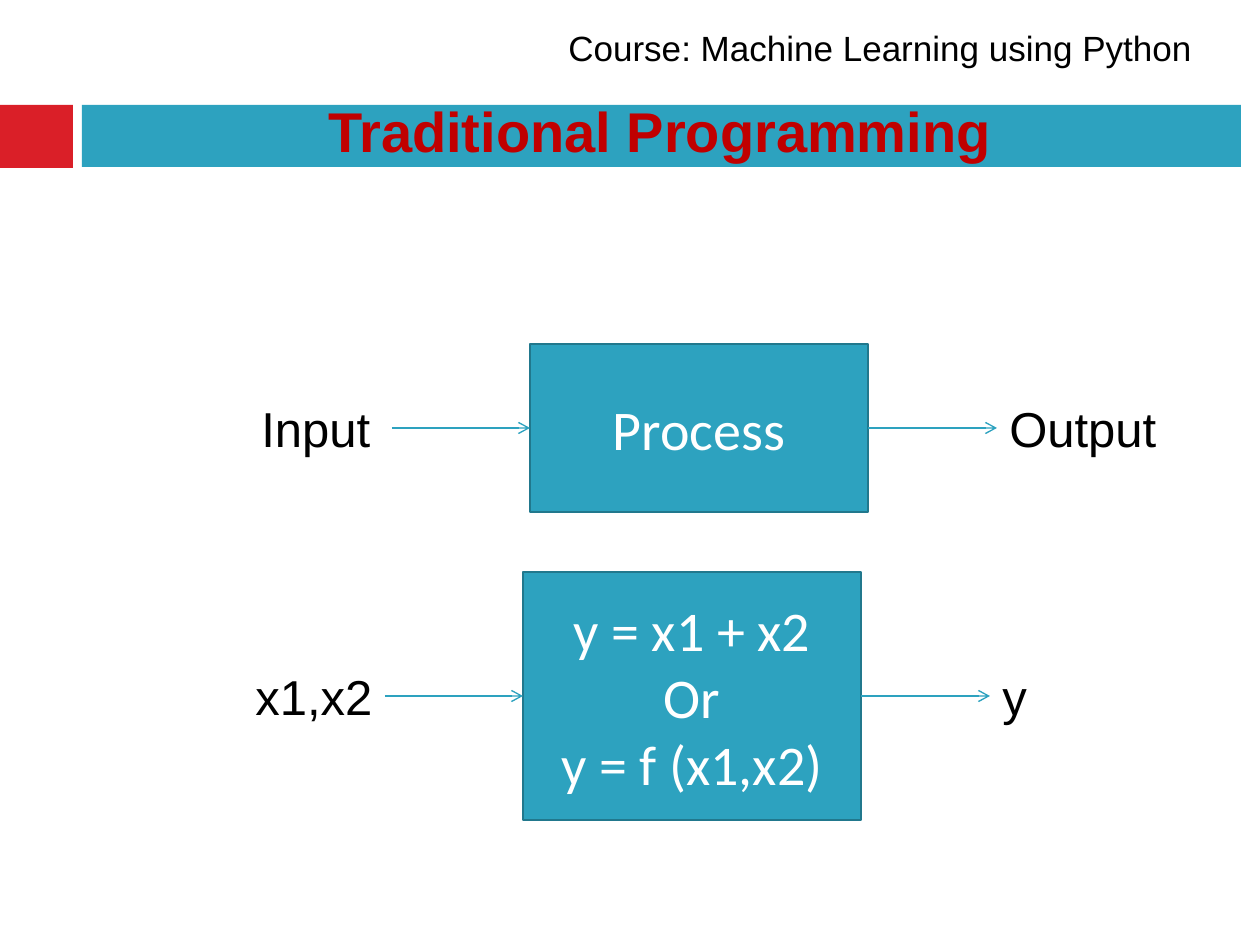
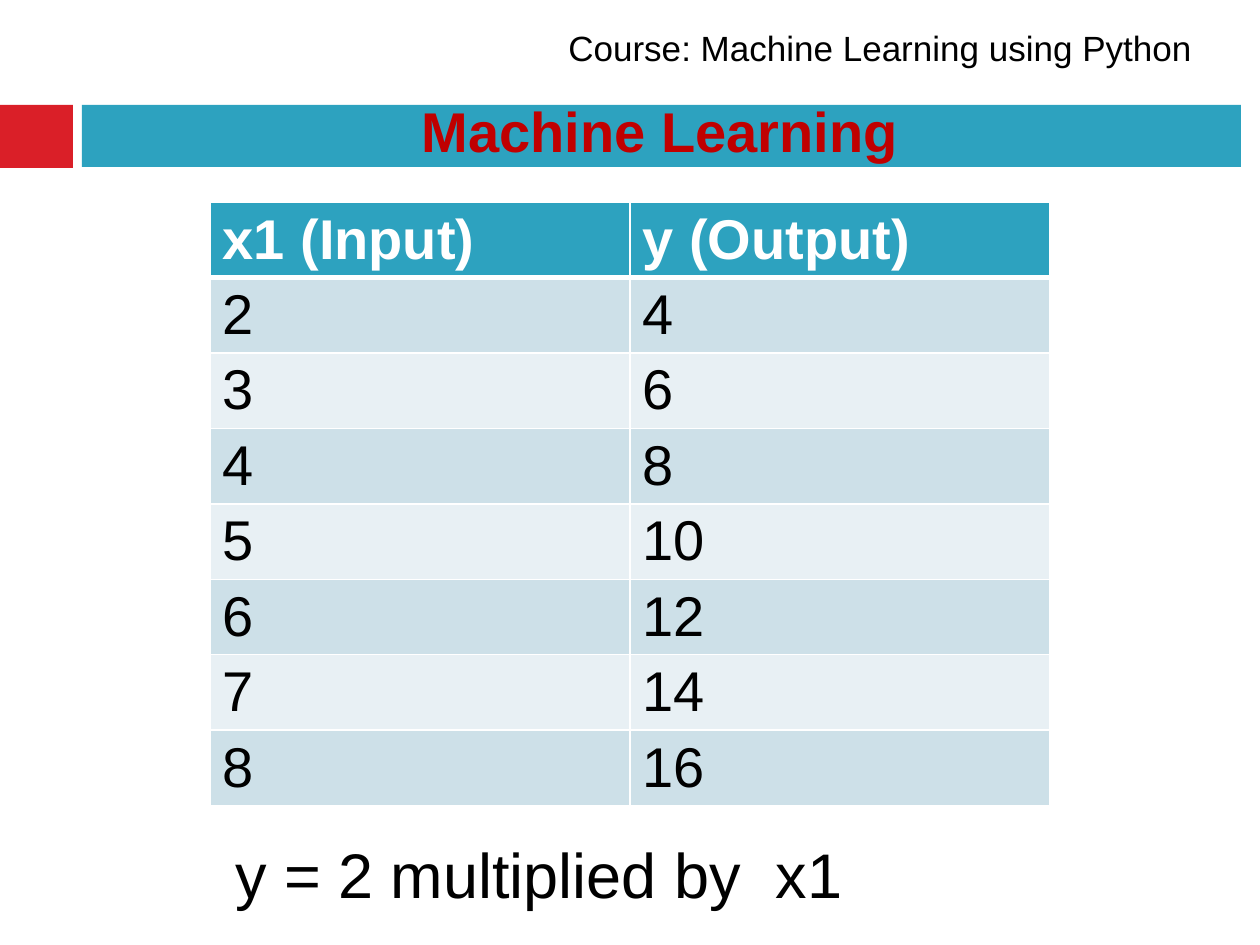
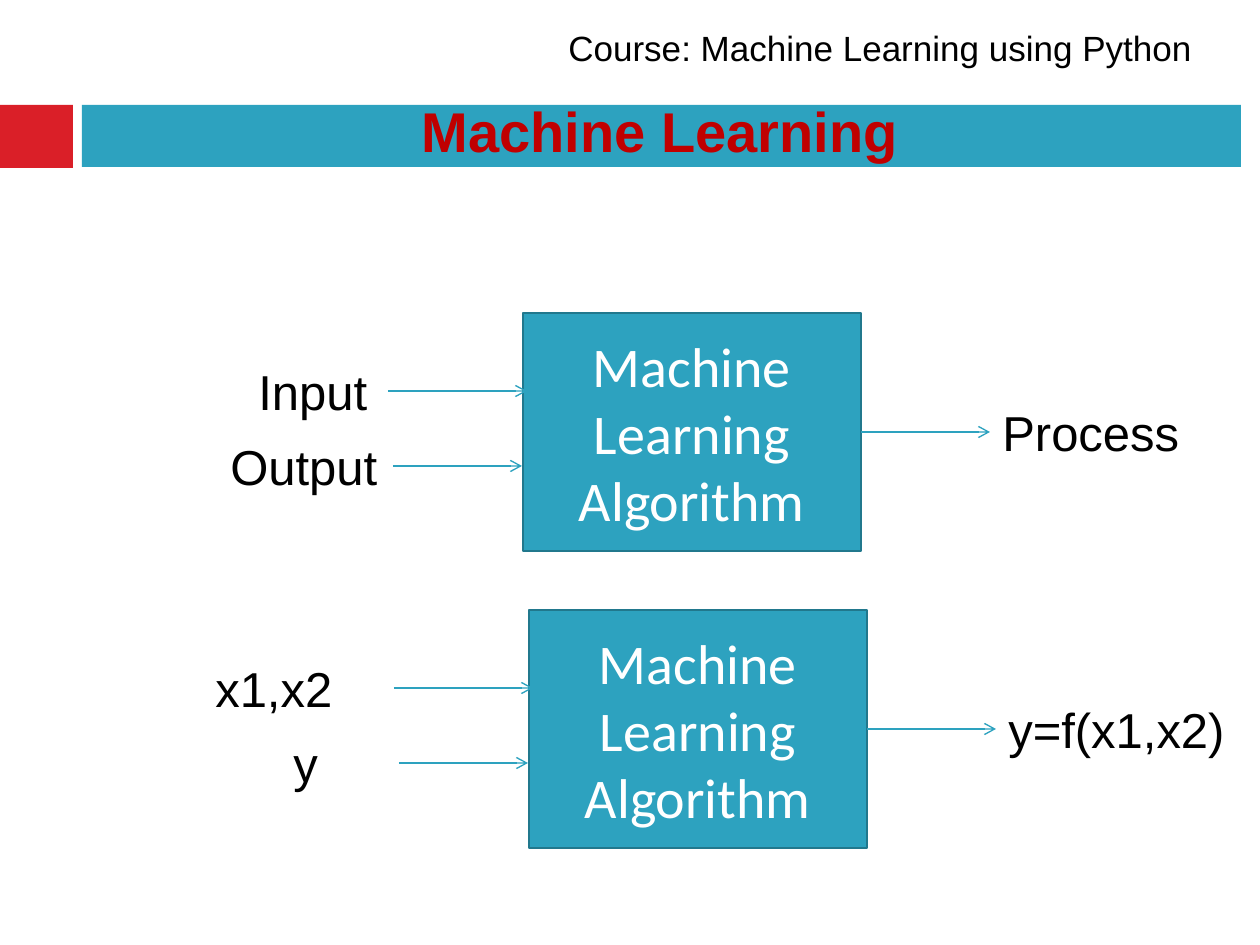
"""Builds three slides comparing traditional programming with machine learning."""
from lxml.etree import SubElement
from pptx import Presentation
from pptx.dml.color import RGBColor
from pptx.enum.shapes import MSO_CONNECTOR as CONNECTOR, MSO_SHAPE as SHAPE
from pptx.enum.text import MSO_ANCHOR as ANCHOR, MSO_AUTO_SIZE as AUTO_SIZE, PP_ALIGN as ALIGN
from pptx.oxml.ns import qn
from pptx.util import Emu, Pt

TEAL, DARK_TEAL, RED, DARK_RED = "2DA2BF", "21788D", "DA1F28", "C00000"
BLACK, WHITE, BAND_DARK, BAND_LIGHT = "000000", "FFFFFF", "CDE0E8", "E8F0F4"

COURSE = "Course: Machine Learning using Python"
ALGORITHM = "Machine Learning Algorithm"
TRADITIONAL_FLOWS = [
    {"process": "Process", "box": (530, 344, 168),
     "inputs": [("Input", 249)], "output": "Output"},
    {"process": "y = x1 + x2\nOr\ny = f (x1,x2)", "box": (523, 572, 248),
     "inputs": [("x1,x2", 243)], "output": "y"},
]
LEARNING_FLOWS = [
    {"process": ALGORITHM, "box": (523, 313, 238),
     "inputs": [("Input", 246), ("Output", 218)], "output": "Process"},
    {"process": ALGORITHM, "box": (529, 610, 238),
     "inputs": [("x1,x2", 203), ("y", 281)], "output": "y=f(x1,x2)"},
]
TABLE_HEADER = ("x1 (Input)", "y (Output)")
TABLE_ROWS = [(str(x), str(2 * x)) for x in range(2, 9)]
RULE = "y = 2 multiplied by  x1"

BOX_WIDTH, OUTPUT_ARROW = 338, 129
LABEL_HEIGHT, INPUT_WIDTH, OUTPUT_WIDTH = 72, 190, 250
TWIN_ARROWS = [(-135, 4, 78), (-130, -1, 153)]
COLUMN_WIDTH, ROW_HEIGHT = 420, 75


def px(*lengths):
    return [Emu(round(length * 914400 / 126)) for length in lengths]


def color(value):
    return RGBColor.from_string(value)


def write(text_frame, text, size, fill, font="Arial", bold=False, align=None):
    text_frame.text = text
    for paragraph in text_frame.paragraphs:
        if align is not None:
            paragraph.alignment = align
        for run in paragraph.runs:
            run.font.name, run.font.size, run.font.bold = font, Pt(size), bold
            run.font.color.rgb = color(fill)


def add_text(shapes, text, box, size):
    shape = shapes.add_textbox(*px(*box))
    shape.text_frame.word_wrap = True
    write(shape.text_frame, text, size, BLACK)
    return shape


def add_box(shapes, box, fill, line=None):
    shape = shapes.add_shape(SHAPE.RECTANGLE, *px(*box))
    shape.shadow.inherit = False
    shape.fill.solid()
    shape.fill.fore_color.rgb = color(fill)
    if line:
        shape.line.color.rgb = color(line)
        shape.line.width = Pt(1.5)
    else:
        shape.line.fill.background()
    return shape


def add_arrow(shapes, left, right, y):
    arrow = shapes.add_connector(CONNECTOR.STRAIGHT, *px(left, y, right, y))
    arrow.line.color.rgb = color(TEAL)
    arrow.line.width = Pt(0.79)
    SubElement(arrow.get_or_add_ln(), qn("a:tailEnd"), type="arrow")
    SubElement(arrow.element.spPr, qn("a:effectLst"))
    return arrow


def add_flow(slide, flow):
    shapes = slide.shapes.add_group_shape().shapes
    left, top, height = flow["box"]
    right, middle = left + BOX_WIDTH, top + height // 2
    process = add_box(shapes, (left, top, BOX_WIDTH, height), TEAL, DARK_TEAL)
    process.text_frame.vertical_anchor = ANCHOR.MIDDLE
    write(process.text_frame, flow["process"], 32, WHITE, "Calibri", align=ALIGN.CENTER)

    single = len(flow["inputs"]) == 1
    arrows = [(-138, 0, height // 2)] if single else TWIN_ARROWS
    for (text, label_left), (start, end, drop) in zip(flow["inputs"], arrows):
        y = top + drop
        arrow = add_arrow(shapes, left + start, left + end, y)
        if single:
            arrow.end_connect(process, 1)
        add_text(shapes, text, (label_left, y - 36, INPUT_WIDTH, LABEL_HEIGHT), 28)

    tip = right + OUTPUT_ARROW
    add_arrow(shapes, right, tip, middle).begin_connect(process, 3)
    add_text(shapes, flow["output"], (tip, middle - 36, OUTPUT_WIDTH, LABEL_HEIGHT), 28)


def style_cell(cell, text, ink, fill, bold, top, bottom):
    write(cell.text_frame, text, 32, ink, bold=bold)
    properties = cell._tc.get_or_add_tcPr()
    for side, width in (("L", 1), ("R", 1), ("T", top), ("B", bottom)):
        line = SubElement(properties, qn(f"a:ln{side}"), w=str(Pt(width)))
        SubElement(SubElement(line, qn("a:solidFill")), qn("a:srgbClr"), val=WHITE)
    cell.fill.solid()
    cell.fill.fore_color.rgb = color(fill)


def add_value_table(slide):
    rows = [TABLE_HEADER] + TABLE_ROWS
    box = (210, 202, 2 * COLUMN_WIDTH, ROW_HEIGHT * len(rows))
    table = slide.shapes.add_table(len(rows), 2, *px(*box)).table
    for i, values in enumerate(rows):
        for j, text in enumerate(values):
            cell = table.cell(i, j)
            if i == 0:
                style_cell(cell, text, WHITE, TEAL, True, 1, 3)
            else:
                fill = BAND_DARK if i % 2 else BAND_LIGHT
                style_cell(cell, text, BLACK, fill, False, 3 if i == 1 else 1, 1)


def add_shared_parts(layout, slide):
    parts = [
        add_box(slide.shapes, (0, 105, 73, 63), RED),
        add_box(slide.shapes, (82, 105, 1159, 62), TEAL),
        add_text(slide.shapes, COURSE, (556, 20, 704, 55), 20),
    ]
    for part in parts:
        layout.shapes.element.append(part.element)


def add_titled_slide(presentation, layout, text):
    slide = presentation.slides.add_slide(layout)
    title = slide.shapes.title
    title.left, title.top, title.width, title.height = px(91, 110, 1138, 62)
    frame = title.text_frame
    frame.auto_size = AUTO_SIZE.NONE
    frame.vertical_anchor = ANCHOR.BOTTOM
    frame.margin_left, frame.margin_right, frame.margin_top, frame.margin_bottom = px(15, 15, 8, 8)
    write(frame, text, 32, DARK_RED, bold=True, align=ALIGN.CENTER)
    return slide


def main():
    presentation = Presentation()
    presentation.slide_width, presentation.slide_height = px(1260, 945)
    layout = presentation.slide_layouts[5]

    traditional = add_titled_slide(presentation, layout, "Traditional Programming")
    add_shared_parts(layout, traditional)
    for flow in TRADITIONAL_FLOWS:
        add_flow(traditional, flow)

    values = add_titled_slide(presentation, layout, "Machine Learning")
    add_value_table(values)
    add_text(values.shapes, RULE, (223, 829, 893, 89), 36)

    learning = add_titled_slide(presentation, layout, "Machine Learning")
    for flow in LEARNING_FLOWS:
        add_flow(learning, flow)

    presentation.save("out.pptx")


if __name__ == "__main__":
    main()
